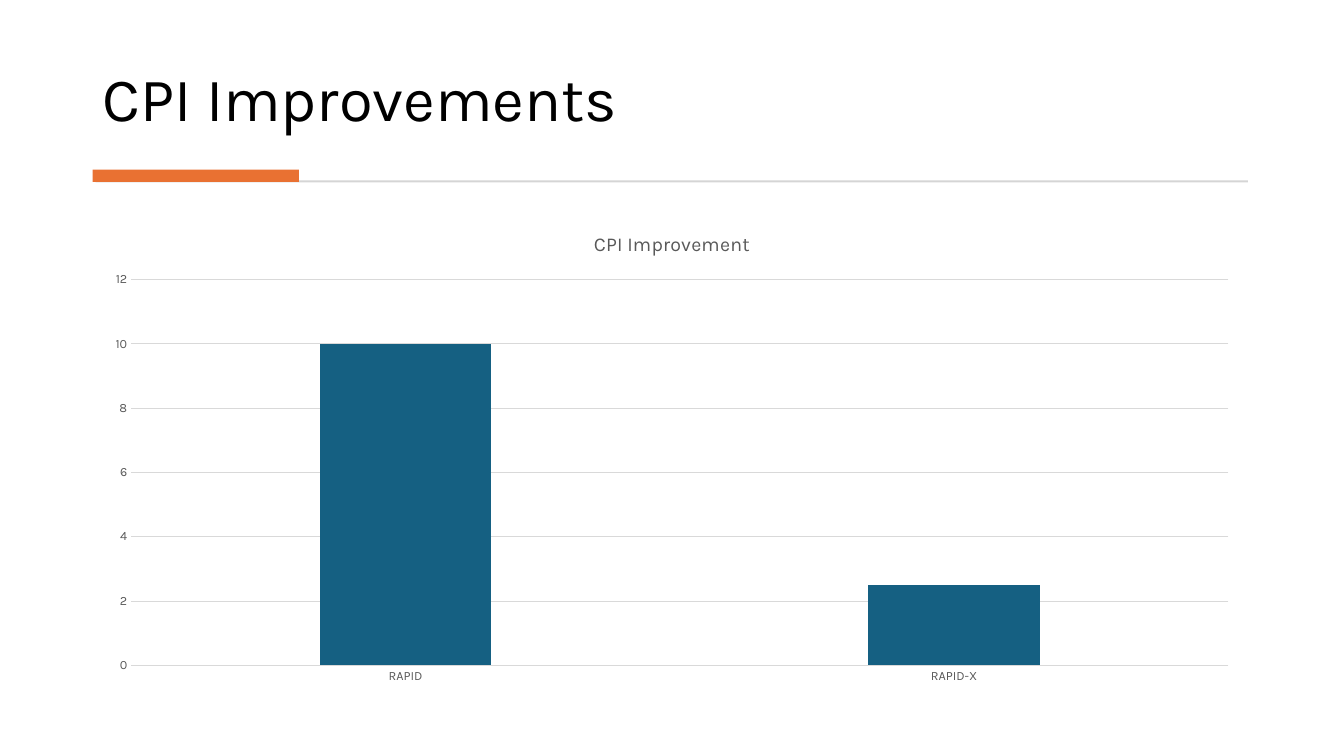
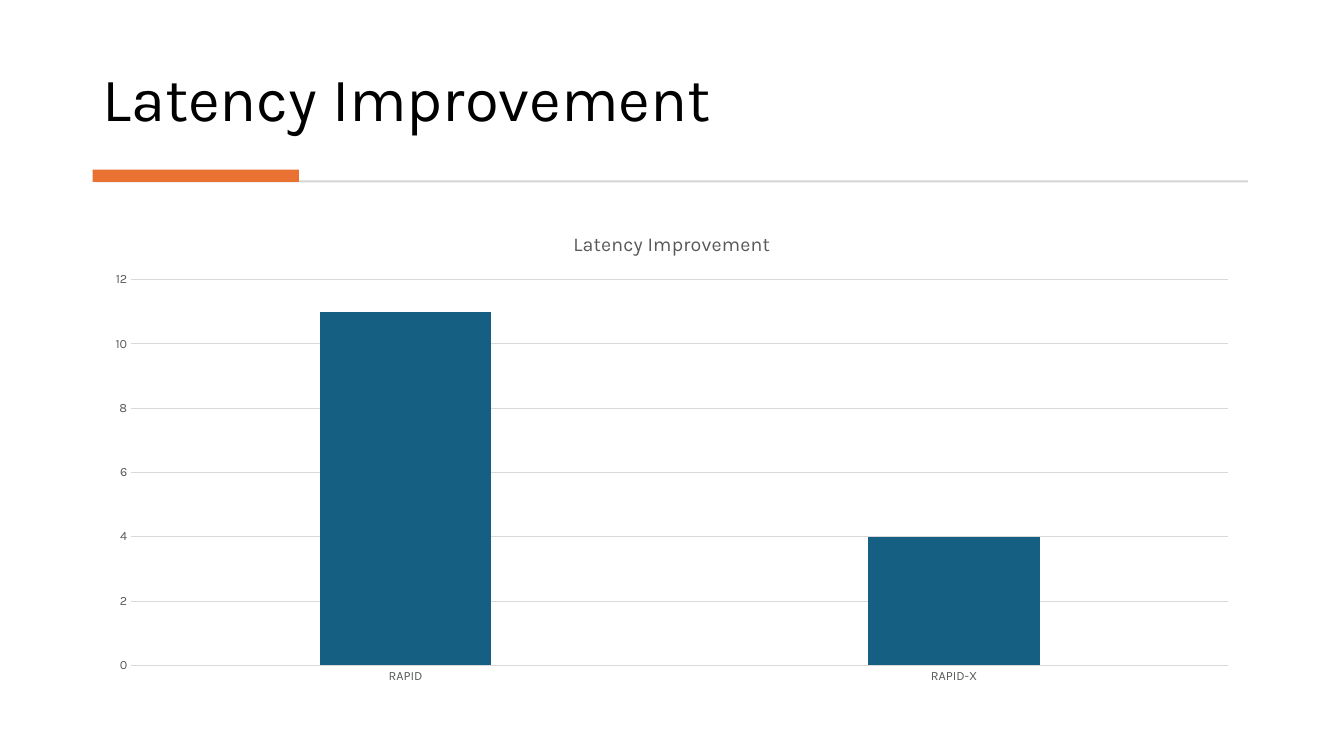
import pptx
import pptx.chart.data
import pptx.dml.color
import pptx.enum.chart
import pptx.enum.shapes
import pptx.enum.text
import pptx.util

Pt = pptx.util.Pt

# Shared style
FONT = "Karla"
BLACK, GREY, GRID = "000000", "595959", "D9D9D9"
RULE, ACCENT, BAR = "D5D5D5", "E97132", "156082"
LEFT = Pt(66)
CATEGORIES = ["RAPID", "RAPID-X"]

# Slide title, chart title, values
SLIDES = [
    ("CPI Improvements", "CPI Improvement", [10, 2.5]),
    ("Latency Improvement", "Latency Improvement", [11, 4]),
]


def rgb(color):
    return pptx.dml.color.RGBColor.from_string(color)


def set_font(font, size, color):
    font.name = FONT
    font.size = Pt(size)
    font.bold = False
    font.color.rgb = rgb(color)


prs = pptx.Presentation()
prs.slide_width, prs.slide_height = Pt(960), Pt(540)

for title, chart_title, values in SLIDES:
    s = prs.slides.add_slide(prs.slide_layouts[5])

    # Title
    sp = s.shapes.title
    sp.left, sp.top, sp.width, sp.height = LEFT, Pt(20), Pt(828), Pt(80)
    tf = sp.text_frame
    tf.text = title
    tf.auto_size = pptx.enum.text.MSO_AUTO_SIZE.NONE
    tf.vertical_anchor = pptx.enum.text.MSO_ANCHOR.BOTTOM
    p = tf.paragraphs[0]
    p.alignment = pptx.enum.text.PP_ALIGN.LEFT
    p.line_spacing = 0.9
    set_font(p.font, 44, BLACK)

    # Rule and accent band under the title
    for x, y, w, h, color in [
        (68.4, 128.9, 823, 1.44, RULE),
        (66.2, 121.2, 147.4, 8.64, ACCENT),
    ]:
        sp = s.shapes.add_shape(pptx.enum.shapes.MSO_SHAPE.RECTANGLE,
                                Pt(x), Pt(y), Pt(w), Pt(h))
        sp.shadow.inherit = False
        sp.fill.solid()
        sp.fill.fore_color.rgb = rgb(color)
        sp.line.fill.background()

    # Column chart
    data = pptx.chart.data.CategoryChartData()
    data.categories = CATEGORIES
    data.add_series("Series 1", values)
    chart = s.shapes.add_chart(
        pptx.enum.chart.XL_CHART_TYPE.COLUMN_CLUSTERED,
        LEFT, Pt(152), Pt(828), Pt(343.5), data).chart
    set_font(chart.font, 10, BLACK)
    chart.has_legend = False
    chart.has_title = True
    chart.chart_title.include_in_layout = False
    tf = chart.chart_title.text_frame
    tf.text = chart_title
    set_font(tf.paragraphs[0].font, 14, GREY)

    plot = chart.plots[0]
    plot.gap_width = 219
    plot.overlap = -27
    plot.vary_by_categories = False
    fill = plot.series[0].format.fill
    fill.solid()
    fill.fore_color.rgb = rgb(BAR)

    # Axes and gridlines
    for axis in (chart.category_axis, chart.value_axis):
        axis.major_tick_mark = pptx.enum.chart.XL_TICK_MARK.NONE
        axis.minor_tick_mark = pptx.enum.chart.XL_TICK_MARK.NONE
        set_font(axis.tick_labels.font, 9, GREY)
    chart.value_axis.minimum_scale = 0
    chart.value_axis.maximum_scale = 12
    chart.value_axis.major_unit = 2
    chart.value_axis.format.line.fill.background()
    for line in (chart.category_axis.format.line,
                 chart.value_axis.major_gridlines.format.line):
        line.color.rgb = rgb(GRID)
        line.width = Pt(0.75)

prs.save("out.pptx")
